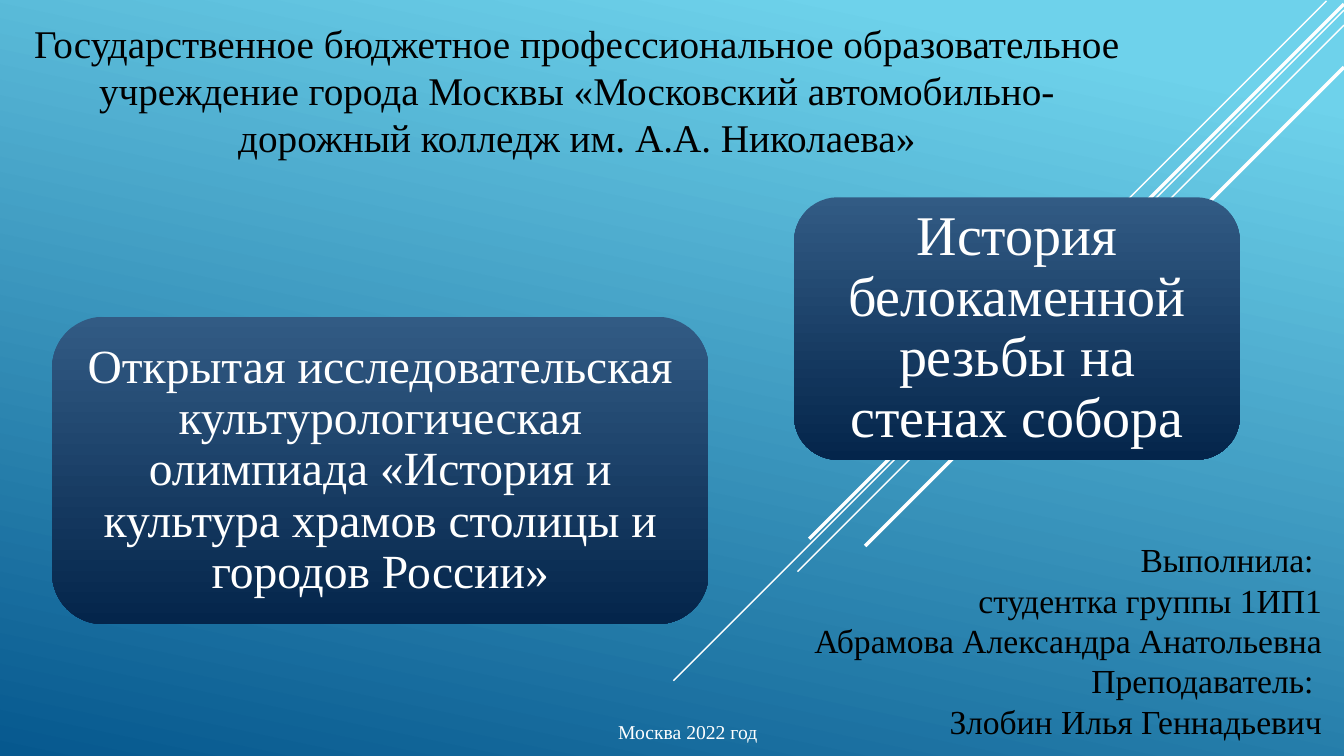
from lxml.etree import SubElement as Sub
from pptx import Presentation as Deck
from pptx.dml.color import RGBColor as Rgb
from pptx.enum.shapes import MSO_CONNECTOR as Conn, MSO_SHAPE as Kind
from pptx.enum.text import MSO_ANCHOR as Anchor, MSO_AUTO_SIZE as Auto, PP_ALIGN as Align
from pptx.oxml.ns import qn
from pptx.util import Pt

FACE = "Times New Roman"
SCHOOL = ("Государственное бюджетное профессиональное образовательное учреждение города "
          "Москвы «Московский автомобильно-дорожный колледж им. А.А. Николаева»")
CREDITS = ["Выполнила: ", "студентка группы 1ИП1", "Абрамова Александра Анатольевна",
           "Преподаватель: ", "Злобин Илья Геннадьевич"]
EVENT = ("Открытая исследовательская культурологическая олимпиада "
         "«История и культура храмов столицы и городов России»")
TOPIC = "История белокаменной резьбы на стенах собора"
RAYS = [(947.5, 0.7, 300, 1), (960, 7.2, 479, 1), (960, 18, 390.3, 1),
        (960, 2.9, 382, 2.5), (960, 48, 342, 2.5)]


def tint(code):
    """Turn a hex string into a colour."""
    return Rgb.from_string(code)


def apply(item, form):
    """Set attributes of an item from a dict."""
    for name, value in form.items():
        setattr(item, name, value)


def place(shape, box):
    """Move a shape to a box given in points."""
    apply(shape, dict(zip(("left", "top", "width", "height"), map(Pt, box))))


def blend(fill, stops, angle):
    """Fill with a two-stop gradient at a clockwise angle."""
    fill.gradient()
    fill.gradient_angle = 360 - angle
    for stop, (pos, code) in zip(fill.gradient_stops, stops):
        stop.position = pos
        stop.color.rgb = tint(code)


def write(shape, lines, size, code, align, frame=None, para=None):
    """Write styled paragraphs into a shape."""
    text = shape.text_frame
    text.text = "\n".join(lines)
    base = {"word_wrap": True, "auto_size": Auto.NONE, "vertical_anchor": Anchor.TOP}
    apply(text, base | (frame or {}))
    for line in text.paragraphs:
        apply(line, {"alignment": align, "space_before": Pt(0)} | (para or {}))
        for run in line.runs:
            apply(run.font, {"name": FACE, "size": Pt(size)})
            run.font.color.rgb = tint(code)


def add_rays(slide, rays):
    """Draw the diagonal rays, each falling left at 45 degrees."""
    for x, y, run, width in rays:
        ray = slide.shapes.add_connector(Conn.STRAIGHT, Pt(x), Pt(y), Pt(x - run), Pt(y + run))
        ray.line.width = Pt(width)
        ray.line.color.rgb = tint("FFFFFF")
        Sub(ray._element.spPr, qn("a:effectLst"))


def add_card(slide, box, words, size, pad):
    """Draw a rounded card with centred text."""
    card = slide.shapes.add_shape(Kind.ROUNDED_RECTANGLE, *map(Pt, box))
    card.shadow.inherit = False
    card.line.fill.background()
    blend(card.fill, [(0, "325B84"), (1, "04254B")], 90)
    frame = {f"margin_{side}": Pt(pad) for side in ("left", "top", "right", "bottom")}
    write(card, [words], size, "FFFFFF", Align.CENTER,
          frame | {"vertical_anchor": Anchor.MIDDLE}, {"line_spacing": 0.9})


def add_foot(slide, box, words):
    """Add the place and year."""
    foot = slide.shapes.add_textbox(*map(Pt, box))
    write(foot, [words], 14, "FFFFFF", Align.CENTER, {"word_wrap": False})


def add_cover(deck):
    """Build the cover slide."""
    slide = deck.slides.add_slide(deck.slide_layouts[0])
    blend(slide.background.fill, [(0.1, "6ED2EB"), (1, "06588E")], 102)
    title, names = slide.placeholders
    place(title, (11, 10, 802, 109))
    write(title, [SCHOOL], 28, "000000", Align.CENTER)
    place(names, (567.5, 381.5, 384, 153))
    write(names, CREDITS, 24, "000000", Align.RIGHT)
    add_rays(slide, RAYS)
    add_card(slide, (37.2, 226.3, 469, 219.5), EVENT, 34, 10)
    add_card(slide, (567.2, 140.9, 318.5, 187.5), TOPIC, 40, 12)
    add_foot(slide, (434, 510.8, 114.5, 24.2), "Москва 2022 год")


def main():
    """Make and save the deck."""
    deck = Deck()
    apply(deck, {"slide_width": Pt(960), "slide_height": Pt(540)})
    add_cover(deck)
    deck.save("out.pptx")


if __name__ == "__main__":
    main()
